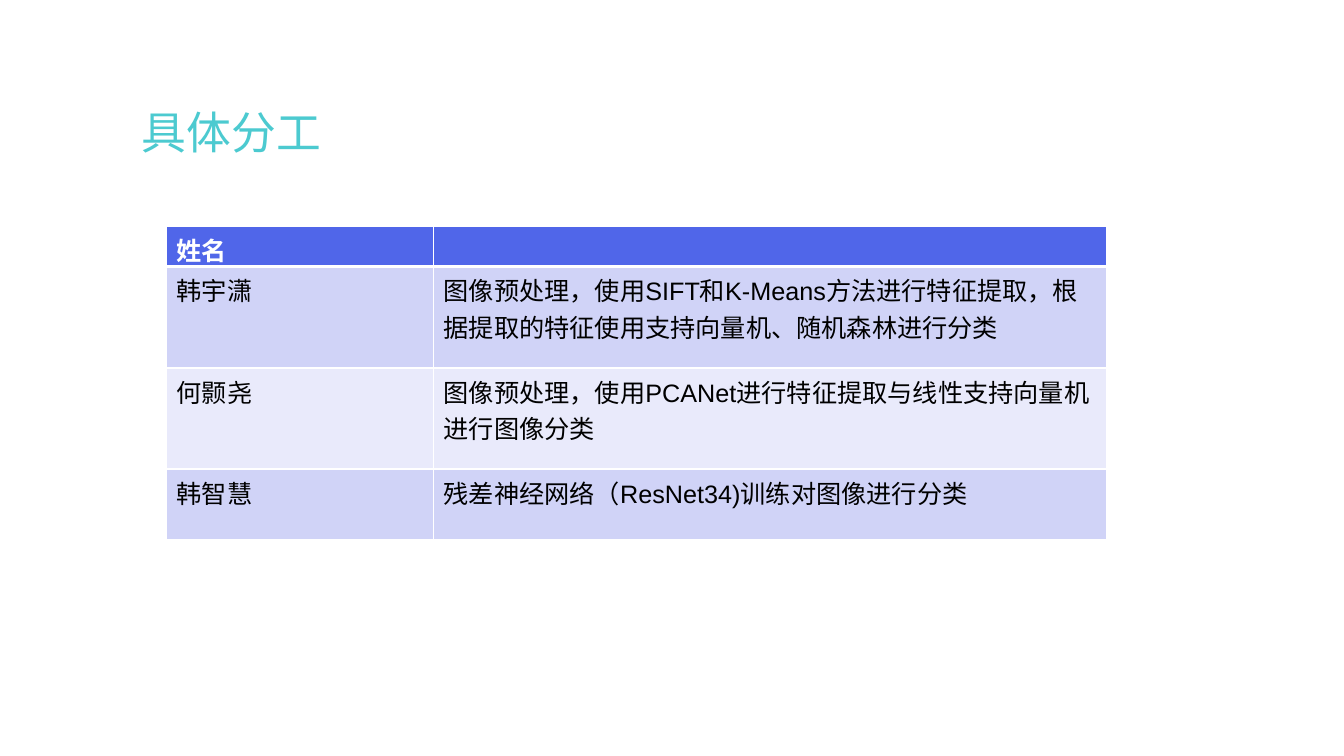
from dataclasses import dataclass

import pptx
import pptx.dml.color
import pptx.oxml
import pptx.oxml.ns
import pptx.util

Pt = pptx.util.Pt
RGB = pptx.dml.color.RGBColor.from_string


@dataclass(frozen=True)
class Theme:
    font: str = "Arial"
    title_size: int = 32
    table_size: int = 18
    title: str = "4CCAD0"
    header: str = "5066E9"
    bands: tuple = ("D0D3F7", "E9EAFB")
    text: str = "000000"
    white: str = "FFFFFF"


THEME = Theme()
COL_WIDTHS = (190.8, 481)
ROW_HEIGHTS = (28.4, 72.4, 72.2, 50.2)
ROWS = (
    ("姓名", ""),
    ("韩宇潇", "图像预处理，使用SIFT和K-Means方法进行特征提取，根据提取的特征使用支持向量机、随机森林进行分类"),
    ("何颢尧", "图像预处理，使用PCANet进行特征提取与线性支持向量机进行图像分类"),
    ("韩智慧", "残差神经网络（ResNet34)训练对图像进行分类"),
)


def write(tf, text, size, color, bold=False):
    p = tf.paragraphs[0]
    p.text = text
    p.font.name = THEME.font
    p.font.size = Pt(size)
    p.font.bold = bold
    p.font.color.rgb = RGB(color)
    return p


def add_title(s, text, left, top, width, height):
    tf = s.shapes.add_textbox(Pt(left), Pt(top), Pt(width), Pt(height)).text_frame
    tf.word_wrap = True
    write(tf, text, THEME.title_size, THEME.title).line_spacing = 0.9


def set_borders(cell, top, bottom):
    tc_pr = cell._tc.get_or_add_tcPr()
    widths = (("lnL", 1), ("lnR", 1), ("lnT", top), ("lnB", bottom))
    for i, (tag, width) in enumerate(widths):
        tc_pr.insert(i, pptx.oxml.parse_xml(
            f'<a:{tag} {pptx.oxml.ns.nsdecls("a")} w="{Pt(width)}">'
            f'<a:solidFill><a:srgbClr val="{THEME.white}"/></a:solidFill></a:{tag}>'))


def style_cell(cell, text, row):
    header = row == 0
    cell.fill.solid()
    cell.fill.fore_color.rgb = RGB(THEME.header if header else THEME.bands[(row - 1) % 2])
    write(cell.text_frame, text, THEME.table_size,
          THEME.white if header else THEME.text, header)
    set_borders(cell, 3 if row == 1 else 1, 3 if header else 1)


def add_table(s, rows, left, top):
    table = s.shapes.add_table(len(rows), len(COL_WIDTHS), Pt(left), Pt(top),
                               Pt(sum(COL_WIDTHS)), Pt(sum(ROW_HEIGHTS))).table
    for column, width in zip(table.columns, COL_WIDTHS):
        column.width = Pt(width)
    for i, (row, height) in enumerate(zip(rows, ROW_HEIGHTS)):
        table.rows[i].height = Pt(height)
        for j, text in enumerate(row):
            style_cell(table.cell(i, j), text, i)


def main():
    prs = pptx.Presentation()
    prs.slide_width, prs.slide_height = Pt(960), Pt(540)
    s = prs.slides.add_slide(prs.slide_layouts[6])
    add_title(s, "具体分工", 94.3, 75.6, 668.2, 133.2)
    add_table(s, ROWS, 119, 161.6)
    prs.save("out.pptx")


if __name__ == "__main__":
    main()
